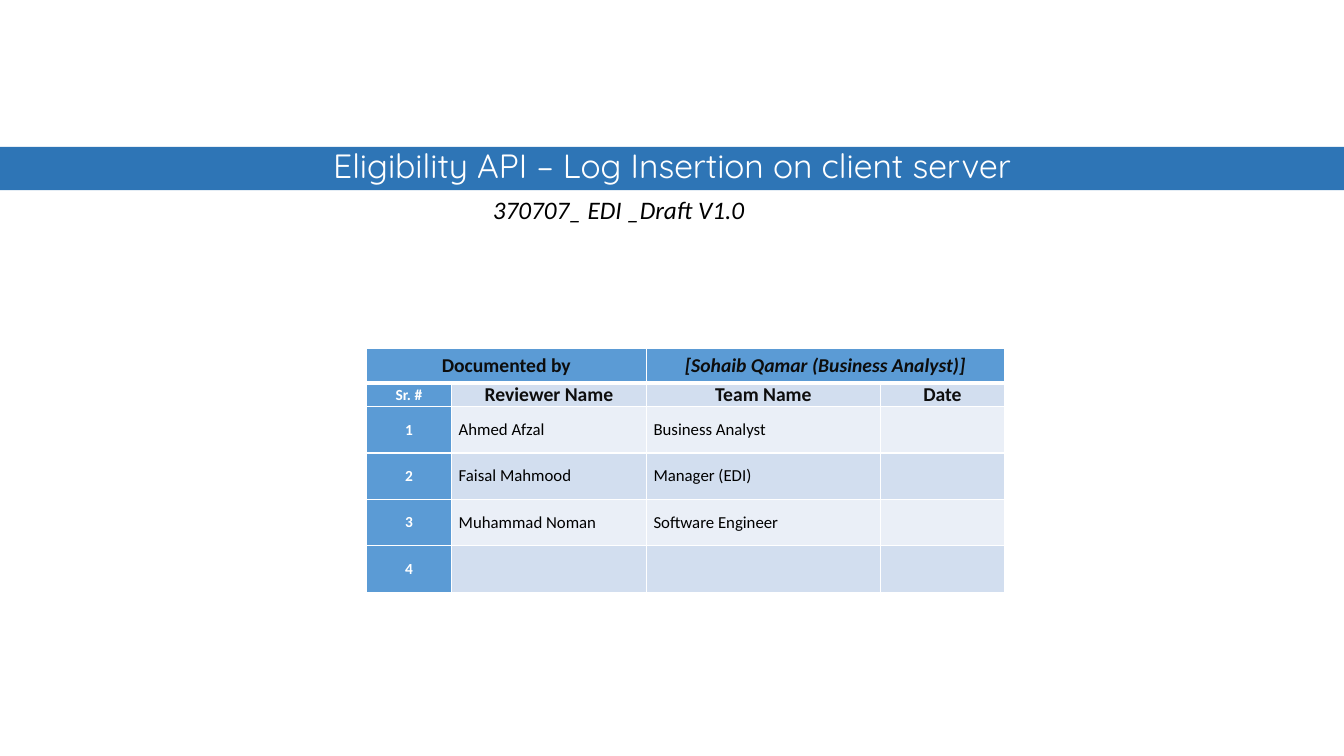
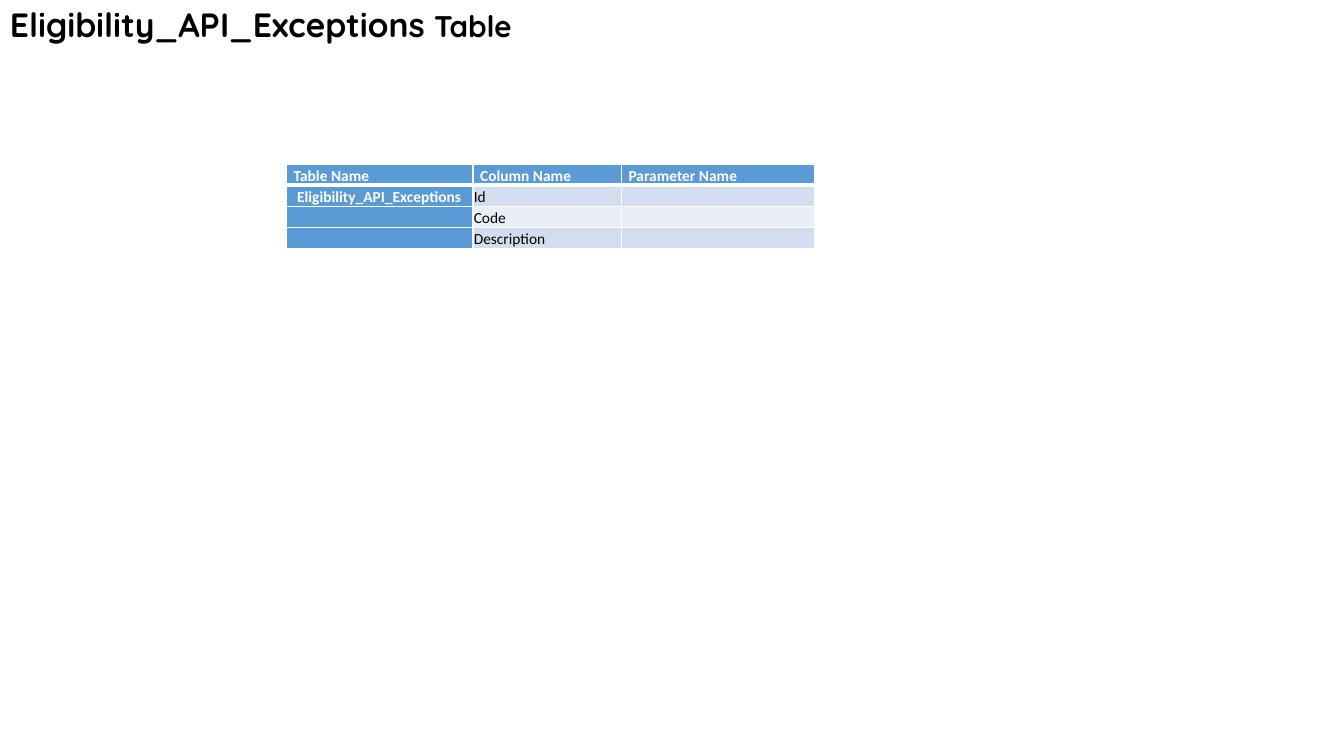
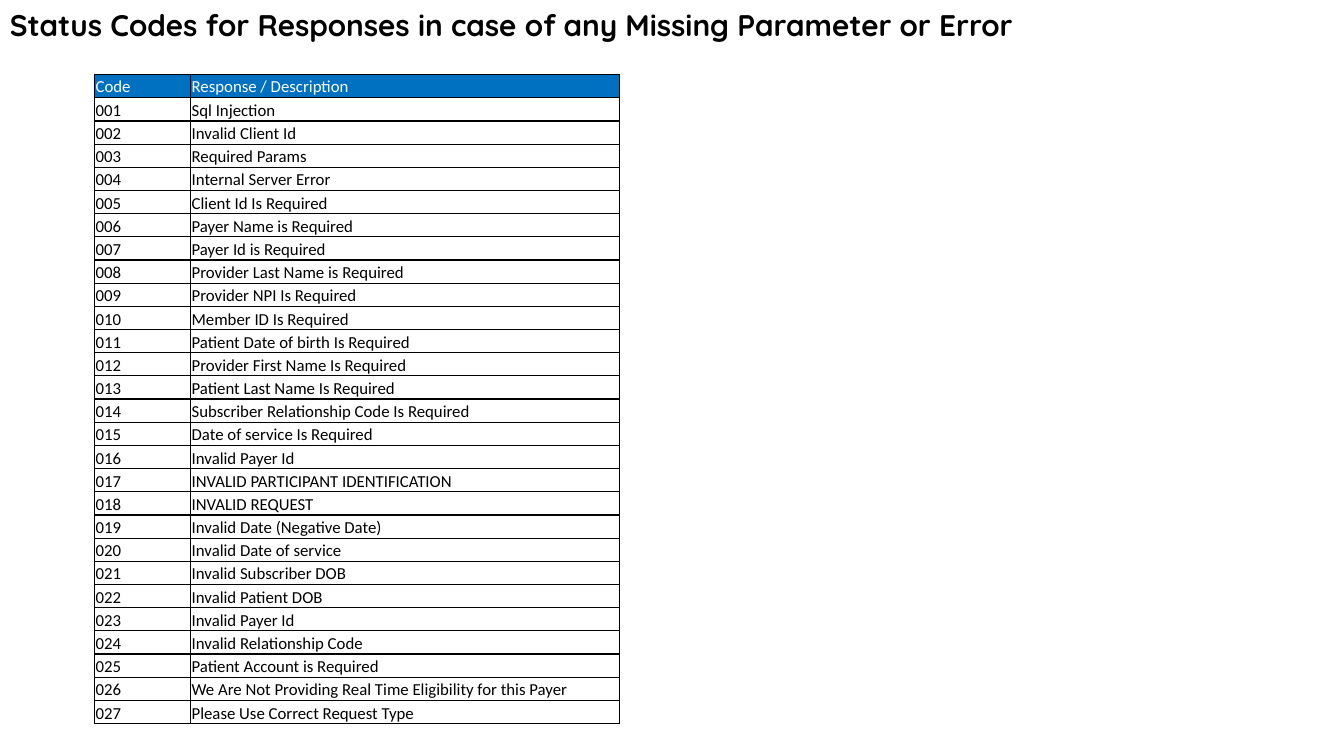
from dataclasses import dataclass, replace

from lxml import etree
from pptx import Presentation
from pptx.dml.color import RGBColor
from pptx.enum.shapes import MSO_SHAPE
from pptx.enum.text import MSO_ANCHOR, PP_ALIGN
from pptx.oxml.ns import qn
from pptx.util import Cm, Pt

LEFT, CENTER = PP_ALIGN.LEFT, PP_ALIGN.CENTER
MIDDLE, BOTTOM = MSO_ANCHOR.MIDDLE, MSO_ANCHOR.BOTTOM
RECT = MSO_SHAPE.RECTANGLE


class Theme:
    white, black, ink = "FFFFFF", "000000", "0D0D0D"
    band, head, code = "2E75B6", "5B9BD5", "0070C0"
    stripes = ("D2DEEF", "EAEFF7")
    title_font, body_font = "Quicksand", "Calibri"
    big, title, draft, label, body, small = 24, 21.3, 18, 14, 12, 11
    wide, tight = (0.18, 0, 0.18, 0), (0.02, 0.02, 0.02, 0)


@dataclass
class Look:
    size: float
    color: str = Theme.black
    font: str = Theme.body_font
    bold: bool = False
    italic: bool = False
    align: int = LEFT
    anchor: int = MIDDLE
    inset: tuple = Theme.wide
    fill: str = ""


TITLE = Look(Theme.title, font=Theme.title_font, bold=True)
BIG = replace(TITLE, size=Theme.big)
BANNER = Look(Theme.big, Theme.white, Theme.title_font, align=CENTER)
DRAFT = Look(Theme.draft, italic=True)
LABEL = Look(Theme.label, Theme.ink, bold=True, align=CENTER, fill=Theme.head)
NUMBER = replace(LABEL, size=Theme.small, color=Theme.white)
NAME = Look(Theme.body)
FIELD = replace(NUMBER, align=LEFT, anchor=BOTTOM)
COLUMN = Look(Theme.small, anchor=BOTTOM, inset=Theme.tight)
CODE = replace(COLUMN, size=Theme.body)
CODE_HEAD = replace(CODE, color=Theme.white, anchor=MIDDLE, fill=Theme.code)

REVIEW = [
    ("Documented by", "", "[Sohaib Qamar (Business Analyst)]", ""),
    ("Sr. #", "Reviewer Name", "Team Name", "Date"),
    ("1", "Ahmed Afzal", "Business Analyst", ""),
    ("2", "Faisal Mahmood", "Manager (EDI)", ""),
    ("3", "Muhammad Noman", "Software Engineer", ""),
    ("4", "", "", ""),
]
FIELDS = [
    ("Table Name", "Column Name", "Parameter Name"),
    (" Eligibility_API_Exceptions", "Id", ""),
    ("", "Code", ""),
    ("", "Description", ""),
]
REPLIES = [
    "Sql Injection",
    "Invalid Client Id",
    "Required Params",
    "Internal Server Error",
    "Client Id Is Required",
    "Payer Name is Required",
    "Payer Id is Required",
    "Provider Last Name is Required",
    "Provider NPI Is Required",
    "Member ID Is Required",
    "Patient Date of birth Is Required",
    "Provider First Name Is Required",
    "Patient Last Name Is Required",
    "Subscriber Relationship Code Is Required",
    "Date of service Is Required",
    "Invalid Payer Id",
    "INVALID PARTICIPANT IDENTIFICATION",
    "INVALID REQUEST",
    "Invalid Date (Negative Date)",
    "Invalid Date of service",
    "Invalid Subscriber DOB",
    "Invalid Patient DOB",
    "Invalid Payer Id",
    "Invalid Relationship Code",
    "Patient Account is Required",
    "We Are Not Providing Real Time Eligibility for this Payer",
    "Please Use Correct Request Type",
]
CODES = [("Code", "Response / Description")]
CODES += [(f"{n:03}", reply) for n, reply in enumerate(REPLIES, 1)]


def rgb(color):
    return RGBColor.from_string(color)


def write(frame, *parts, spacing=None):
    """Write (text, look) parts as the runs of one paragraph."""
    para = frame.paragraphs[0]
    para.alignment = parts[0][1].align
    if spacing:
        para.line_spacing = spacing
    for text, look in parts:
        run = para.add_run()
        run.text = text
        font = run.font
        font.name, font.size = look.font, Pt(look.size)
        font.bold, font.italic = look.bold, look.italic
        font.color.rgb = rgb(look.color)


def add_text(slide, box, *parts, wrap=True, spacing=None):
    frame = slide.shapes.add_textbox(*map(Cm, box)).text_frame
    frame.word_wrap = wrap
    frame.vertical_anchor = MIDDLE
    write(frame, *parts, spacing=spacing)


def add_title(slide, *parts):
    add_text(slide, (0, 0.03, 33.87, 1.3), *parts, spacing=0.9)


def add_banner(slide, text):
    bar = slide.shapes.add_shape(RECT, *map(Cm, (0, 3.7, 33.87, 1.09)))
    bar.shadow.inherit = False
    bar.fill.solid()
    bar.fill.fore_color.rgb = rgb(Theme.band)
    bar.line.fill.background()
    bar.text_frame.vertical_anchor = MIDDLE
    write(bar.text_frame, (text, BANNER), spacing=0.8)


def set_edges(cell, color, top, bottom):
    props = cell._tc.get_or_add_tcPr()
    edges = (("lnL", 1), ("lnR", 1), ("lnT", top), ("lnB", bottom))
    for spot, (tag, width) in enumerate(edges):
        line = etree.Element(qn(f"a:{tag}"), w=str(Pt(width)))
        fill = etree.SubElement(line, qn("a:solidFill"))
        etree.SubElement(fill, qn("a:srgbClr"), val=color)
        props.insert(spot, line)


def fill_cell(cell, text, look):
    (cell.margin_left, cell.margin_top,
     cell.margin_right, cell.margin_bottom) = map(Cm, look.inset)
    cell.vertical_anchor = look.anchor
    if look.fill:
        cell.fill.solid()
        cell.fill.fore_color.rgb = rgb(look.fill)
    else:
        cell.fill.background()
    if text:
        write(cell.text_frame, (text, look))
    else:
        # An empty cell needs a type size too, or its row grows.
        para = cell.text_frame.paragraphs[0]._p
        size = str(int(look.size * 100))
        etree.SubElement(para, qn("a:endParaRPr"), sz=size)


def add_table(slide, spot, cols, rows, data, pick, edge, rule=1):
    """Add a table; pick(row, col) gives a look, rule is the line under the head."""
    size = (sum(cols), sum(rows))
    table = slide.shapes.add_table(
        len(rows), len(cols), *map(Cm, spot + size)).table
    table.first_row = table.horz_banding = False
    for col, width in zip(table.columns, cols):
        col.width = Cm(width)
    for row, height in zip(table.rows, rows):
        row.height = Cm(height)
    for r, texts in enumerate(data):
        for c, text in enumerate(texts):
            cell = table.cell(r, c)
            fill_cell(cell, text, pick(r, c))
            set_edges(cell, edge, rule if r == 1 else 1, rule if r == 0 else 1)
    return table


def stripe(look, row):
    return replace(look, fill=Theme.stripes[(row - 1) % 2])


def review_look(row, col):
    if row == 0:
        return replace(LABEL, italic=col > 1)
    if col == 0:
        return NUMBER
    return stripe(LABEL if row == 1 else NAME, row)


def field_look(row, col):
    return FIELD if row == 0 or col == 0 else stripe(COLUMN, row)


def code_look(row, col):
    return CODE if row else CODE_HEAD


def cover(slide):
    add_banner(slide, "Eligibility API – Log Insertion on client server")
    add_text(slide, (12.17, 4.78, 6.93, 1.02),
             ("370707_ EDI _Draft V1.0", DRAFT), wrap=False)
    table = add_table(slide, (9.23, 8.77), (2.15, 4.91, 5.9, 3.12),
                      [0.88, 0.59] + [1.17] * 4, REVIEW, review_look,
                      Theme.white, rule=3)
    for col in (0, 2):
        table.cell(0, col).merge(table.cell(0, col + 1))


def fields(slide):
    add_title(slide, ("Eligibility_API_Exceptions ", BIG), ("Table", TITLE))
    add_table(slide, (7.22, 4.14), (4.7, 3.74, 4.87), [0.53] * len(FIELDS),
              FIELDS, field_look, Theme.white, rule=3)


def codes(slide):
    add_table(slide, (2.39, 1.88), (2.42, 10.8),
              [16.36 / len(CODES)] * len(CODES), CODES, code_look, Theme.black)
    add_title(slide, ("Status Codes for Responses in case of any "
                      "Missing Parameter or Error", TITLE))


def main():
    deck = Presentation()
    deck.slide_width, deck.slide_height = Cm(33.87), Cm(19.05)
    blank = deck.slide_layouts[6]
    for build in (cover, fields, codes):
        build(deck.slides.add_slide(blank))
    deck.save("out.pptx")


if __name__ == "__main__":
    main()
